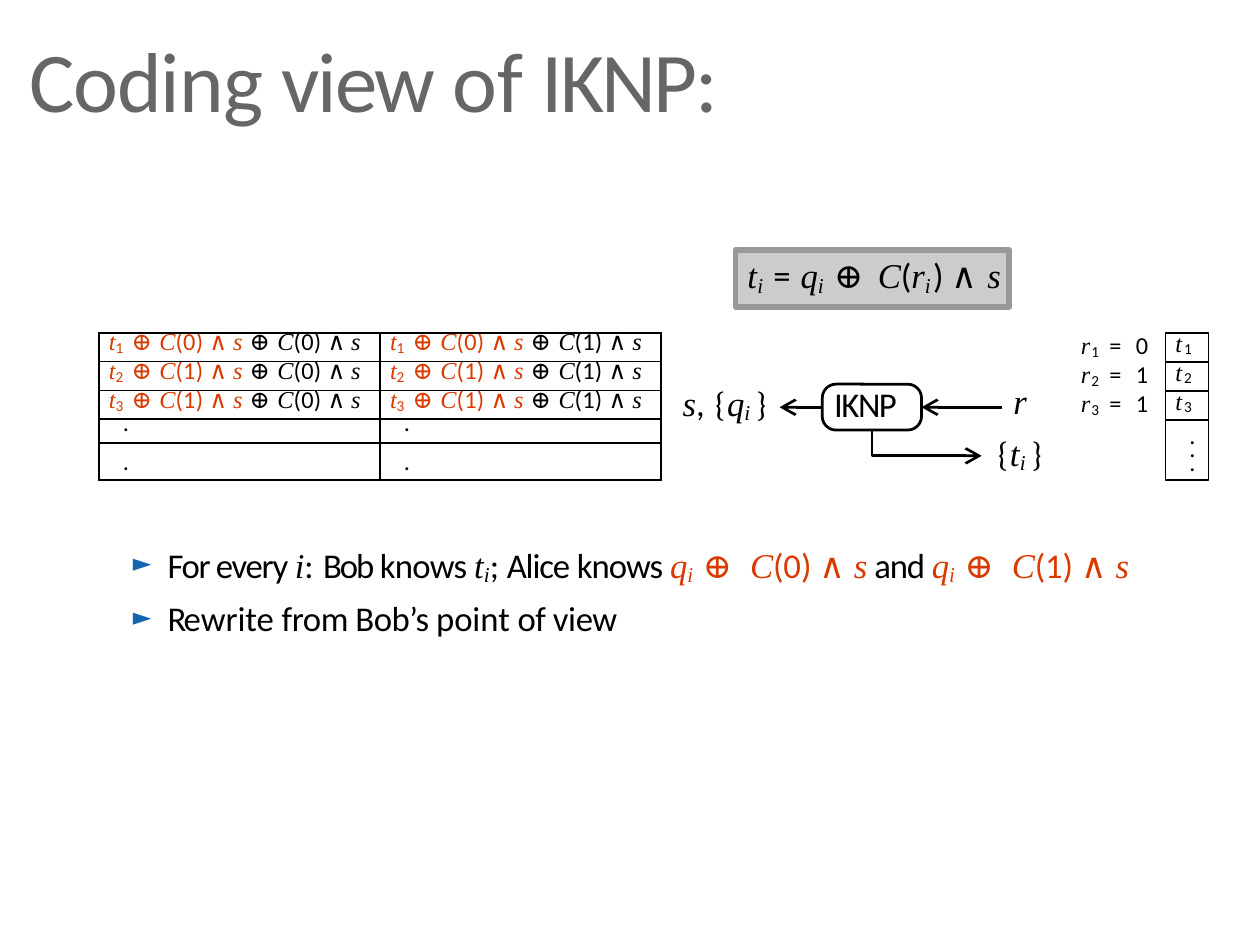
"""Build the slide that presents the coding view of IKNP."""
from lxml import etree
from pptx import Presentation
from pptx.dml.color import RGBColor
from pptx.enum import shapes, text
from pptx.oxml.ns import qn
from pptx.util import Pt

THEME = {
    "black": "000000", "white": "FFFFFF", "title": "666666", "accent": "D83A00",
    "bullet": "1464B2", "panel": "CCCCCC", "panel line": "999999",
    "title size": (24.5, 24.5), "body size": (10, 10.5), "small size": (7, 7.5),
    "plain": {"name": "Calibri", "italic": False},
    "math": {"name": "Times New Roman", "italic": True},
    "symbol": {"name": "Cambria", "italic": False},
    "index": {"name": "Times New Roman", "italic": True},
    "number": {"name": "Calibri", "italic": False},
}
BASELINES = {"index": "-12000", "number": "-11000"}


def code_mask(bit, color="black"):
    """Return the small runs for the code word of a bit masked by s."""
    return [("⊕ ", "symbol", 0.3, color), ("C", "math", 0, color),
            (f"({bit}) ", "plain", 0.1, color), ("∧ ", "symbol", 0.1, color),
            ("s", "math", 0, color)]


def alice_value(bit):
    """Return the accented runs for one value that Alice knows."""
    runs = [("q", "math", -0.1), ("i ", "index", 0.6), ("⊕ ", "symbol", 1.5),
            ("C", "math", -0.1), (f"({bit}) ", "plain", 0),
            ("∧ ", "symbol", 0.2), ("s", "math", 0.1)]
    return [(*run, "accent") for run in runs]


TITLE = [("Coding ", "plain", -0.28), ("view ", "plain", -0.6), ("of ", "plain", -0.1),
         ("IKNP:", "plain", -0.8)]
FORMULA = [("t", "math", 0.1), ("i ", "index", 0.7), ("= ", "plain", 0.3),
           ("q", "math", -0.1), ("i ", "index", 0.7), ("⊕ ", "symbol", 1),
           ("C", "math", -0.2), ("(", "plain", 0), ("r", "math", -0.5),
           ("i", "index", 0.7), (") ", "plain", 0), ("∧ ", "symbol", 0.4),
           ("s", "math", -0.2)]
BOX_NAME = [("IKNP", "plain", -0.4)]
PORTS = [
    ((196.7, 108.7, 32), [("s", "math", -0.3), (", ", "plain", -0.1), ("{", "symbol", 0.4),
                          ("q", "math", -0.1), ("i ", "index", 0), ("}", "symbol", 0.2)]),
    ((292, 108.7, 8), [("r", "math", -0.5)]),
    ((286.7, 123.1, 22), [("{", "symbol", 0.4), ("t", "math", 0.1),
                          ("i ", "index", 0), ("}", "symbol", 0.2)]),
]
CHOICE_BITS = [0, 1, 1]
BULLETS = [
    [("For every ", "plain", -0.38), ("i", "math", -0.3), (": ", "plain", 0.25),
     ("Bob ", "plain", -0.6), ("knows ", "plain", -0.2), ("t", "math", 0),
     ("i", "index", 0), ("; ", "plain", 0), ("Alice ", "plain", -0.3),
     ("knows ", "plain", -0.25), *alice_value(0), (" and ", "plain", -0.3), *alice_value(1)],
    [("Re", "plain", -0.6), ("write ", "plain", 0), ("from Bob", "plain", -0.1),
     ("’s p", "plain", -0.1), ("oint ", "plain", 0), ("of view", "plain", -0.1)],
]
ROW_HEIGHTS = [8.3, 8.3, 8.3, 6.9, 4.2, 6.4]
DOT = [(".", "plain", 0)]
TABLE_LEFT, TABLE_TOP, COLUMN_WIDTH = 28.5, 95.9, 81
KEY_LEFT, KEY_WIDTH, KEY_HEIGHT, KEY_BOTTOM = 335.7, 12.5, 8.35, 138.3
IKNP_BOX = (236.9, 110.7, 28.6, 13.2)


def color_of(name):
    return RGBColor.from_string(THEME[name])


def apply(target, values):
    for name, value in values.items():
        setattr(target, name, value)


def write(paragraph, runs, size, color="black", **layout):
    apply(paragraph, layout)
    normal, lowered = THEME[size]
    for content, style, spacing, *own_color in runs:
        run = paragraph.add_run()
        run.text = content
        apply(run.font, {**THEME[style], "size": Pt(lowered if style in BASELINES else normal)})
        run.font.color.rgb = color_of(own_color[0] if own_color else color)
        properties = run.font._element
        properties.set("spc", str(round(spacing * 100)))
        if style in BASELINES:
            properties.set("baseline", BASELINES[style])


def set_frame(frame, left=0, top=0, bottom=0, anchor=text.MSO_ANCHOR.TOP):
    apply(frame, {"word_wrap": True, "margin_left": Pt(left), "margin_top": Pt(top),
                  "margin_right": 0, "margin_bottom": Pt(bottom), "vertical_anchor": anchor})
    return frame.paragraphs[0]


def add_label(slide, place, inset=(0, 0)):
    label = slide.shapes.add_textbox(*map(Pt, place))
    return label.text_frame, set_frame(label.text_frame, *inset)


def add_box(slide, kind, place, fill, line, width, inset=0, anchor=text.MSO_ANCHOR.MIDDLE):
    box = slide.shapes.add_shape(kind, *map(Pt, place))
    box.shadow.inherit = False
    box.fill.solid()
    box.fill.fore_color.rgb = color_of(fill)
    box.line.color.rgb = color_of(line)
    box.line.width = Pt(width)
    paragraph = set_frame(box.text_frame, inset, 0, 2, anchor)
    paragraph.alignment = text.PP_ALIGN.LEFT
    return box, paragraph


def style_arrow(arrow):
    arrow.line.color.rgb = color_of("black")
    arrow.line.width = Pt(0.8)
    etree.SubElement(arrow.line._get_or_add_ln(), qn("a:tailEnd"), type="arrow", w="sm", len="sm")
    properties = arrow._element.spPr
    if properties.find(qn("a:effectLst")) is None:
        etree.SubElement(properties, qn("a:effectLst"))


def set_borders(cell, hidden):
    properties = cell._tc.get_or_add_tcPr()
    for position, side in enumerate("LRTB"):
        line = etree.Element(qn(f"a:ln{side}"), w=str(Pt(0.5)))
        if side in hidden:
            etree.SubElement(line, qn("a:noFill"))
        else:
            fill = etree.SubElement(line, qn("a:solidFill"))
            etree.SubElement(fill, qn("a:srgbClr"), val=THEME["black"])
        properties.insert(position, line)


def add_code_table(slide):
    frame = slide.shapes.add_table(len(ROW_HEIGHTS), 2, Pt(TABLE_LEFT), Pt(TABLE_TOP),
                                   Pt(2 * COLUMN_WIDTH), Pt(sum(ROW_HEIGHTS)))
    table = frame.table
    apply(table, {"first_row": False, "horz_banding": False})
    for column in table.columns:
        column.width = Pt(COLUMN_WIDTH)
    for index, height in enumerate(ROW_HEIGHTS):
        table.rows[index].height = Pt(height)
        for bit in range(2):
            cell = table.cell(index, bit)
            is_code = index < len(CHOICE_BITS)
            apply(cell, {"margin_left": Pt(2.9 if is_code else 6.9), "margin_top": 0,
                         "margin_right": 0, "margin_bottom": 0})
            cell.fill.solid()
            cell.fill.fore_color.rgb = color_of("white")
            set_borders(cell, {4: "B", 5: "T"}.get(index, ""))
            paragraph = cell.text_frame.paragraphs[0]
            if is_code:
                runs = [("t", "math", 0, "accent"), (f"{index + 1} ", "number", 0.7, "accent"),
                        *code_mask(CHOICE_BITS[index], "accent"), (" ", "math", 0.3),
                        *code_mask(bit)]
                write(paragraph, runs, "small size", line_spacing=Pt(7.2))
            elif index == 4:
                etree.SubElement(paragraph._p, qn("a:endParaRPr"), sz="200")
            else:
                write(paragraph, DOT, "small size", line_spacing=Pt(5.6))


def add_protocol(slide):
    _, paragraph = add_box(slide, shapes.MSO_SHAPE.RECTANGLE, (211.9, 72, 78.9, 16.4),
                           "panel", "panel line", 1.59, 3.4)
    write(paragraph, FORMULA, "body size")
    box, paragraph = add_box(slide, shapes.MSO_SHAPE.ROUNDED_RECTANGLE, IKNP_BOX,
                             "white", "black", 0.8, 2.3)
    box.adjustments[0] = 0.3
    write(paragraph, BOX_NAME, "body size")
    for (left, top, width), runs in PORTS:
        _, paragraph = add_label(slide, (left, top, width, 13.7), (0, 0.7))
        write(paragraph, runs, "body size", space_before=Pt(0.9))

    left, top, width, height = IKNP_BOX
    middle, center, bottom = top + height / 2, left + width / 2, top + height
    for start, end, join, side in [(left, 224.6, "begin_connect", 1),
                                   (288.6, left + width, "end_connect", 3)]:
        arrow = slide.shapes.add_connector(shapes.MSO_CONNECTOR.STRAIGHT, Pt(start), Pt(middle),
                                           Pt(end), Pt(middle))
        getattr(arrow, join)(box, side)
        style_arrow(arrow)
    builder = slide.shapes.build_freeform(Pt(center), Pt(bottom))
    builder.add_line_segments([(Pt(center), Pt(131.3)), (Pt(282.8), Pt(131.3))], close=False)
    bend = builder.convert_to_shape()
    bend.fill.background()
    style_arrow(bend)


def add_keys(slide):
    rectangle = shapes.MSO_SHAPE.RECTANGLE
    for index, bit in enumerate(CHOICE_BITS):
        offset = index * KEY_HEIGHT
        _, paragraph = add_label(slide, (308.5, 93.5 + offset, 27, 10.8), (2.9, 1.2))
        write(paragraph, [("r", "math", 0.3), (f"{index + 1} ", "number", 1),
                          ("= ", "plain", 1.3), (str(bit), "plain", 0.4)],
              "small size", space_before=Pt(1.2))
        _, paragraph = add_box(slide, rectangle,
                               (KEY_LEFT, TABLE_TOP + offset, KEY_WIDTH, KEY_HEIGHT),
                               "white", "black", 0.4, 2.9, text.MSO_ANCHOR.TOP)
        write(paragraph, [("t", "math", 0.6), (str(index + 1), "number", 0.8)],
              "small size", line_spacing=Pt(7.2))
    top = TABLE_TOP + len(CHOICE_BITS) * KEY_HEIGHT
    add_box(slide, rectangle, (KEY_LEFT, top, KEY_WIDTH, KEY_BOTTOM - top), "white", "black", 0.4)
    frame, paragraph = add_label(slide, (342.7, 125.3, 5, 12))
    for index in range(3):
        write(frame.add_paragraph() if index else paragraph, DOT, "small size", line_spacing=Pt(4))


def add_bullets(slide):
    frame, paragraph = add_label(slide, (35.3, 152.5, 305, 32), (0, 3.6))
    for index, runs in enumerate(BULLETS):
        paragraph = frame.add_paragraph() if index else paragraph
        write(paragraph, runs, "body size", space_before=Pt(3 if index else 4))
        properties = paragraph._p.get_or_add_pPr()
        for name, value in {"marL": Pt(13), "indent": Pt(-10)}.items():
            properties.set(name, str(value))
        color = etree.SubElement(properties, qn("a:buClr"))
        etree.SubElement(color, qn("a:srgbClr"), val=THEME["bullet"])
        etree.SubElement(properties, qn("a:buSzPct"), val="70000")
        etree.SubElement(properties, qn("a:buFont"), typeface="Cambria")
        etree.SubElement(properties, qn("a:buChar"), char="►")


def main():
    presentation = Presentation()
    apply(presentation, {"slide_width": Pt(363), "slide_height": Pt(272.5)})
    slide = presentation.slides.add_slide(presentation.slide_layouts[6])
    _, paragraph = add_label(slide, (7.5, 6.8, 222.5, 31.7), (0.9, 1.2))
    write(paragraph, TITLE, "title size", "title", space_before=Pt(1.2))
    add_protocol(slide)
    add_code_table(slide)
    add_keys(slide)
    add_bullets(slide)
    presentation.save("out.pptx")


if __name__ == "__main__":
    main()
